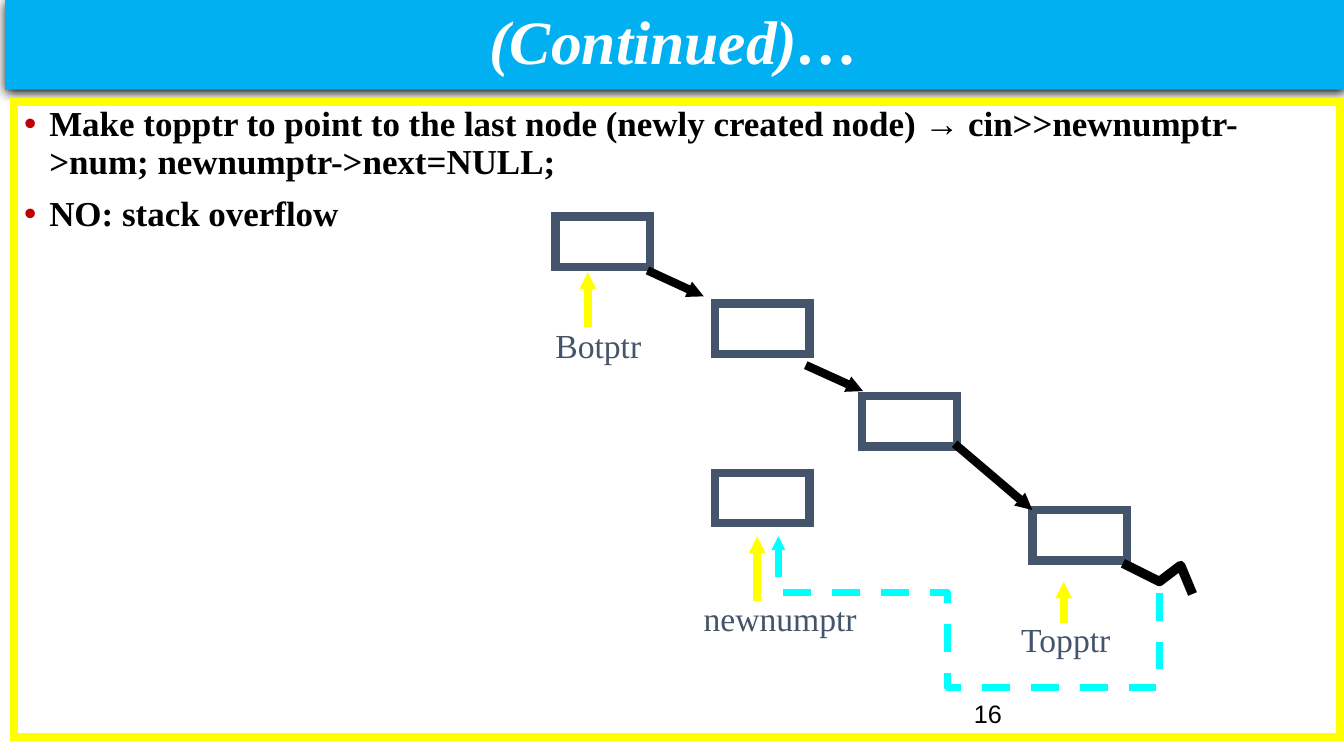
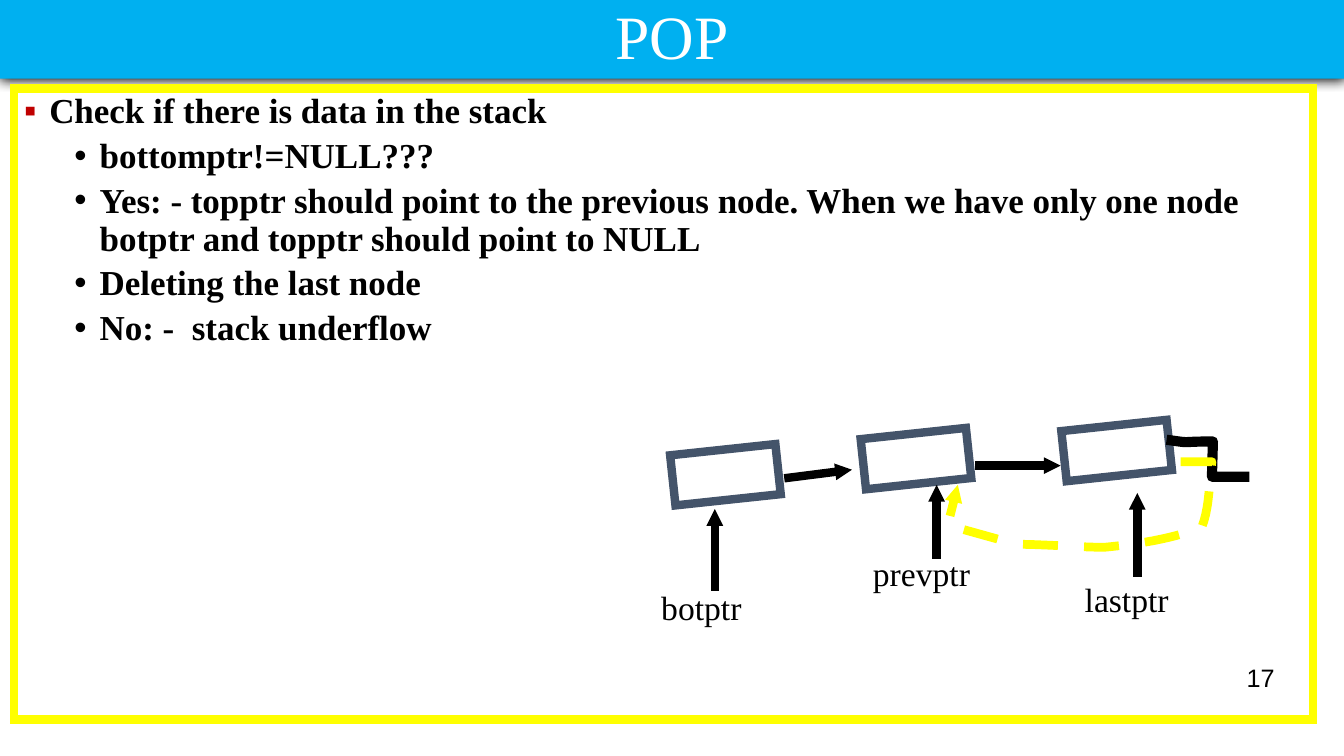
from lxml import etree
from pptx import Presentation
from pptx.dml.color import RGBColor
from pptx.enum import dml, shapes, text
from pptx.oxml import ns
from pptx.util import Inches, Pt

BLUE = RGBColor(0x00, 0xB0, 0xF0)
YELLOW = RGBColor(0xFF, 0xFF, 0x00)
CYAN = RGBColor(0x00, 0xFF, 0xFF)
SLATE = RGBColor(0x44, 0x54, 0x6A)
RED = RGBColor(0xC0, 0x00, 0x00)
BLACK = RGBColor(0x00, 0x00, 0x00)
WHITE = RGBColor(0xFF, 0xFF, 0xFF)
SERIF = "Times New Roman"
SLIDE_W = 13.33
LEFT, CENTER, RIGHT = text.PP_ALIGN.LEFT, text.PP_ALIGN.CENTER, text.PP_ALIGN.RIGHT


def sub(parent, tag, **attrs):
    """Append a DrawingML child element and return it."""
    el = etree.SubElement(parent, ns.qn("a:" + tag))
    for key, value in attrs.items():
        el.set(key, str(value))
    return el


def write(p, words, size=24, color=BLACK, font=SERIF, bold=False, italic=False,
          align=LEFT, spacing=None, before=0):
    """Write formatted text into a paragraph."""
    r = p.add_run()
    r.text = words
    r.font.size, r.font.name = Pt(size), font
    r.font.bold, r.font.italic = bold, italic
    r.font.color.rgb = color
    p.alignment = align
    p.space_before = Pt(before)
    if spacing:
        p.line_spacing = spacing


def add_bullet(p, char, color, margin):
    """Give a paragraph a hanging bullet."""
    pPr = p._p.get_or_add_pPr()
    pPr.set("marL", str(Inches(margin)))
    pPr.set("indent", str(Inches(-0.25)))
    sub(sub(pPr, "buClr"), "srgbClr", val=color)
    sub(pPr, "buFont", typeface="Arial")
    sub(pPr, "buChar", char=char)


def add_text(s, x, y, w, words, anchor=text.MSO_ANCHOR.TOP, **fmt):
    """Add a half-inch-high text box."""
    tf = s.shapes.add_textbox(Inches(x), Inches(y), Inches(w), Inches(0.5)).text_frame
    tf.word_wrap = True
    tf.vertical_anchor = anchor
    write(tf.paragraphs[0], words, **fmt)


def style_line(shape, color, width, dashed=False, arrow=False, miter=False):
    """Format the line of a shape or connector."""
    shape.line.color.rgb = color
    shape.line.width = Pt(width)
    ln = shape.line._get_or_add_ln()
    if dashed:
        shape.line.dash_style = dml.MSO_LINE.DASH
    else:
        ln.set("cap", "sq")
    if miter:
        sub(ln, "miter", lim=800000)
    if arrow:
        sub(ln, "tailEnd", type="triangle", w="sm", len="sm")


def add_frame(s, x, y, w, h, color, rotation=0):
    """Add an unfilled rectangle with a thick border."""
    sp = s.shapes.add_shape(shapes.MSO_SHAPE.RECTANGLE,
                            Inches(x), Inches(y), Inches(w), Inches(h))
    sp.shadow.inherit = False
    sp.fill.background()
    sp.rotation = rotation
    style_line(sp, color, 6, miter=True)
    return sp


def add_arrow(s, x1, y1, x2, y2, color=BLACK):
    """Add a straight arrow."""
    c = s.shapes.add_connector(shapes.MSO_CONNECTOR.STRAIGHT,
                               Inches(x1), Inches(y1), Inches(x2), Inches(y2))
    style_line(c, color, 6, arrow=True)
    sub(c._element.spPr, "effectLst")


def trace(steps, count=10):
    """Turn line ends and cubic curve steps into a list of points."""
    points = [steps[0]]
    for step in steps[1:]:
        if len(step) == 2:
            points.append(step)
            continue
        x0, y0 = points[-1]
        x1, y1, x2, y2, x3, y3 = step
        for i in range(1, count + 1):
            t = i / count
            k = ((1 - t) ** 3, 3 * t * (1 - t) ** 2, 3 * t * t * (1 - t), t ** 3)
            points.append((k[0] * x0 + k[1] * x1 + k[2] * x2 + k[3] * x3,
                           k[0] * y0 + k[1] * y1 + k[2] * y2 + k[3] * y3))
    return points


def add_path(s, x, y, steps, color, width, **fmt):
    """Add an open path whose steps are relative to (x, y)."""
    points = [(Inches(x + px), Inches(y + py)) for px, py in trace(steps)]
    fb = s.shapes.build_freeform(*points[0])
    fb.add_line_segments(points[1:], close=False)
    sp = fb.convert_to_shape()
    sp.shadow.inherit = False
    sp.fill.background()
    style_line(sp, color, width, **fmt)


def add_pointer(s, x, y, label, color, arrow_color):
    """Add a pointer name and its upward arrow, relative to (x, y)."""
    name, lx, ly, w, ax, tail, head = label
    add_text(s, x + lx, y + ly, w, name, color=color)
    add_arrow(s, x + ax, y + tail, x + ax, y + head, arrow_color)


def add_title(s, words, x, h, **fmt):
    """Turn the title placeholder into the blue band."""
    sp = s.shapes.title
    sp.left, sp.top, sp.width, sp.height = Inches(x), 0, Inches(SLIDE_W - x), Inches(h)
    sp.fill.solid()
    sp.fill.fore_color.rgb = BLUE
    sp.shadow.inherit = False
    effects = sp._element.spPr.find(ns.qn("a:effectLst"))
    shadow = sub(effects, "outerShdw", blurRad=Pt(8.5), dist=Pt(1), dir=5400000,
                 algn="t", rotWithShape=0)
    sub(shadow, "srgbClr", val=BLACK)
    tf = sp.text_frame
    tf.auto_size = text.MSO_AUTO_SIZE.NONE
    tf.vertical_anchor = text.MSO_ANCHOR.MIDDLE
    write(tf.paragraphs[0], words, size=44, color=WHITE, align=CENTER, spacing=0.9, **fmt)


def add_body(s, x, y, w, h, mark, items):
    """Add the yellow frame with its bullets, given as (level, words)."""
    tf = add_frame(s, x, y, w, h, YELLOW).text_frame
    tf.word_wrap = True
    tf.vertical_anchor = text.MSO_ANCHOR.TOP
    for i, (level, words) in enumerate(items):
        p = tf.add_paragraph() if i else tf.paragraphs[0]
        p.level = level
        write(p, words, size=25, bold=True, spacing=0.9, before=5 if level else 10)
        add_bullet(p, "•" if level else mark, BLACK if level else RED, 0.25 + level / 2)


def add_number(s, x, y, number, align):
    """Add the slide number."""
    add_text(s, x, y, 3.11, number, text.MSO_ANCHOR.MIDDLE, size=18, font="Arial", align=align)


def draw_push(s, x, y):
    """Draw the linked stack that receives a new node."""
    for nx, ny in ((0.01, 0.15), (1.59, 1.01), (3.05, 1.93), (4.74, 3.06), (1.59, 2.69)):
        add_frame(s, x + nx, y + ny, 0.94, 0.5, SLATE)
    for x1, y1, x2, y2 in ((0.96, 0.7, 1.48, 0.94), (2.53, 1.64, 3.06, 1.88),
                           (4, 2.43, 4.74, 3.06)):
        add_arrow(s, x + x1, y + y1, x + x2, y + y2)
    add_path(s, x, y, [(5.68, 3.61), (6, 3.77), (6.21, 3.61), (6.31, 3.85)], BLACK, 6.75)
    for label in (("Botptr", -0.09, 1.17, 1.58, 0.33, 1.2, 0.7),
                  ("Topptr", 4.53, 4.09, 1.58, 5.05, 4.14, 3.77),
                  ("newnumptr", 1.38, 3.88, 2.31, 2.01, 3.92, 3.32)):
        add_pointer(s, x, y, label, SLATE, YELLOW)
    new_link = [(6, 3.88), (6, 4.82), (3.9, 4.82), (3.9, 3.88), (2.22, 3.88), (2.22, 3.32)]
    add_path(s, x, y, new_link, CYAN, 5, dashed=True, arrow=True)


def draw_pop(s, x, y):
    """Draw the linked stack that loses its last node."""
    for nx, ny in ((0.17, 0.46), (2.06, 0.3), (4.05, 0.22)):
        add_frame(s, x + nx, y + ny, 1.05, 0.5, SLATE, rotation=353.9)
    add_arrow(s, x + 1.32, y + 0.74, x + 1.95, y + 0.66)
    add_arrow(s, x + 3.21, y + 0.62, x + 4.02, y + 0.62)
    null_link = [(5.12, 0.37), (5.33, 0.4, 5.19, 0.38, 5.53, 0.38), (5.52, 0.73), (5.84, 0.73)]
    add_path(s, x, y, null_link, BLACK, 7.25)
    for label in (("botptr", -0.04, 1.77, 1.47, 0.59, 1.82, 1.05),
                  ("prevptr", 2.06, 1.44, 1.57, 2.79, 1.5, 0.81),
                  ("lastptr", 4.16, 1.69, 1.68, 4.78, 1.68, 0.89)):
        add_pointer(s, x, y, label, BLACK, BLACK)
    back_link = [(5.21, 0.58), (5.52, 0.58),
                 (5.49, 0.79, 5.5, 1.02, 5.42, 1.23),
                 (5.4, 1.27, 5.31, 1.27, 5.25, 1.29),
                 (4.97, 1.37, 4.75, 1.4, 4.45, 1.43),
                 (4.24, 1.43, 3.85, 1.4, 3.58, 1.4),
                 (2.9, 1.21), (3, 0.81)]
    add_path(s, x, y, back_link, YELLOW, 6.25, dashed=True, arrow=True)


def push_slide(prs):
    """Build the slide that ends the push operation."""
    s = prs.slides.add_slide(prs.slide_layouts[5])
    add_number(s, 9.56, 6.83, "16", LEFT)
    add_title(s, "(Continued)…", 0.05, 0.89, bold=True, italic=True)
    add_body(s, 0.14, 1.01, 13.15, 6.3, "•", [
        (0, "Make topptr to point to the last node (newly created node) → "
            "cin>>newnumptr->num; newnumptr->next=NULL;"),
        (0, "NO: stack overflow")])
    draw_push(s, 5.5, 2)


def pop_slide(prs):
    """Build the slide on the pop operation."""
    s = prs.slides.add_slide(prs.slide_layouts[5])
    add_number(s, 9.63, 6.47, "17", RIGHT)
    add_title(s, "POP", 0, 0.78)
    add_body(s, 0.14, 0.88, 12.88, 6.26, "▪", [
        (0, "Check if there is data in the stack"),
        (1, "bottomptr!=NULL???"),
        (1, "Yes: - topptr should point to the previous node. When we have only one node  "
            "botptr and topptr should point to NULL"),
        (1, "Deleting the last node"),
        (1, "No: -  stack underflow")])
    draw_pop(s, 6.5, 4)


def main():
    """Build and save the presentation."""
    prs = Presentation()
    prs.slide_width, prs.slide_height = Inches(SLIDE_W), Inches(7.5)
    push_slide(prs)
    pop_slide(prs)
    prs.save("out.pptx")


if __name__ == "__main__":
    main()
